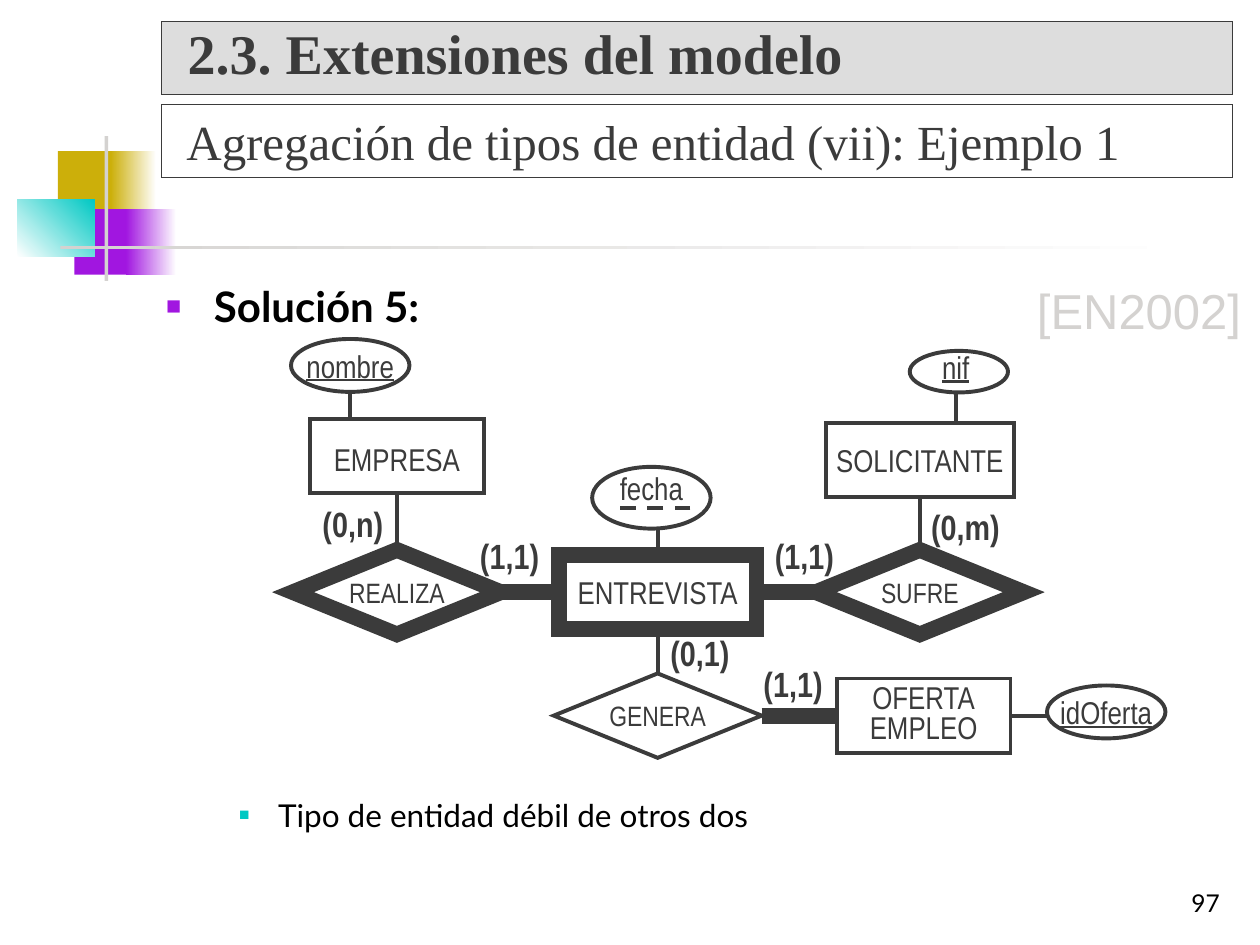
from lxml.etree import SubElement
from pptx import Presentation
from pptx.dml.color import RGBColor
from pptx.enum.dml import MSO_LINE
from pptx.enum.shapes import MSO_CONNECTOR, MSO_SHAPE
from pptx.enum.text import MSO_ANCHOR, MSO_AUTO_SIZE, PP_ALIGN
from pptx.oxml.ns import qn
from pptx.util import Inches, Pt

INK, GREY, BLACK, WHITE = "3B3B3B", "D4D2D0", "000000", "FFFFFF"
GOLD, VIOLET, TEAL = "CCAF0A", "A116E0", "00C8C3"
NARROW, SERIF, SANS = "Arial Narrow", "Times New Roman", "Lato"
THIN, THICK = 2.25, 9
TOP, LEFT, BOTTOM, RIGHT = range(4)


def rgb(color):
    return RGBColor.from_string(color)


def write(shape, text, size, face, color=INK, bold=False, under=False,
          align=PP_ALIGN.LEFT, anchor=MSO_ANCHOR.TOP, pad=(0.1, 0.05, 0.1, 0.05),
          wrap=True, space=None, bullet=None):
    """Fill a shape with one paragraph; bullet is (indent, hang, color, percent)."""
    frame = shape.text_frame
    frame.auto_size = MSO_AUTO_SIZE.NONE
    frame.word_wrap = wrap
    frame.vertical_anchor = anchor
    (frame.margin_left, frame.margin_top,
     frame.margin_right, frame.margin_bottom) = map(Inches, pad)
    par = frame.paragraphs[0]
    par.text = text
    par.alignment = align
    if space:
        par.line_spacing = space
    if bullet:
        add_bullet(par, *bullet)
    font = par.font
    font.size, font.name, font.bold, font.underline = Pt(size), face, bold, under
    font.color.rgb = rgb(color)


def add_bullet(par, indent, hang, color, percent):
    props = par._p.get_or_add_pPr()
    props.set("marL", str(Inches(indent)))
    props.set("indent", str(-Inches(hang)))
    SubElement(SubElement(props, qn("a:buClr")), qn("a:srgbClr"), val=color)
    SubElement(props, qn("a:buSzPct"), val=str(percent * 1000))
    SubElement(props, qn("a:buFont"), typeface="Arial")
    SubElement(props, qn("a:buChar"), char="■")


def add_text(slide, box, *args, **style):
    write(slide.shapes.add_textbox(*map(Inches, box)), *args, **style)


def outline(shape, width):
    shape.line.color.rgb = rgb(INK)
    shape.line.width = Pt(width)
    SubElement(shape.line._get_or_add_ln(), qn("a:miter"), lim="800000")


def add_block(slide, box, color, end=None, angle=0):
    """Borderless rectangle, plain or fading from color to end."""
    block = slide.shapes.add_shape(MSO_SHAPE.RECTANGLE, *map(Inches, box))
    block.shadow.inherit = False
    block.line.fill.background()
    if end:
        block.fill.gradient()
        block.fill.gradient_angle = angle
        for stop, tone in zip(block.fill.gradient_stops, (color, end)):
            stop.color.rgb = rgb(tone)
    else:
        block.fill.solid()
        block.fill.fore_color.rgb = rgb(color)


def add_node(slide, kind, mid, size, text, width=THIN, points=18, pad=(0, 0, 0, 0), **style):
    """Outlined shape with a centred name, placed by its middle."""
    (x, y), (w, h) = mid, size
    node = slide.shapes.add_shape(kind, Inches(x - w / 2), Inches(y - h / 2),
                                  Inches(w), Inches(h))
    node.shadow.inherit = False
    node.fill.solid()
    node.fill.fore_color.rgb = rgb(WHITE)
    outline(node, width)
    write(node, text, points, NARROW, align=PP_ALIGN.CENTER,
          anchor=MSO_ANCHOR.MIDDLE, pad=pad, wrap=False, **style)
    return node


def add_line(slide, start=(0, 0), end=(0, 0), width=THIN):
    line = slide.shapes.add_connector(MSO_CONNECTOR.STRAIGHT, *map(Inches, (*start, *end)))
    outline(line, width)
    SubElement(line._element.spPr, qn("a:effectLst"))
    return line


def join(slide, first, side, last, other, width=THIN):
    line = add_line(slide, width=width)
    line.begin_connect(first, side)
    line.end_connect(last, other)


def add_decor(slide, x, y):
    """Coloured squares crossed by two grey bars."""
    for dx, dy, w, h, *tones in (
            (0.32, 0.12, 0.48, 0.52, GOLD),
            (0.74, 0.12, 0.36, 0.52, GOLD, WHITE),
            (0.45, 0.58, 0.46, 0.52, VIOLET),
            (0.86, 0.58, 0.4, 0.52, VIOLET, WHITE),
            (0, 0.5, 0.61, 0.46, WHITE, TEAL, 45),
            (0.69, 0, 0.03, 1.15, GREY),
            (0.34, 0.87, 9, 0.03, GREY, WHITE)):
        add_block(slide, (x + dx, y + dy, w, h), *tones)


def add_heads(slide, x, y, w, h):
    title = slide.shapes.title
    title.left, title.top, title.width, title.height = map(Inches, (x, y, w, h))
    title.fill.solid()
    title.fill.fore_color.rgb = rgb("DDDDDD")
    sub = slide.shapes.add_shape(MSO_SHAPE.RECTANGLE,
                                 *map(Inches, (x, y + 0.66, w, h)))
    sub.shadow.inherit = False
    sub.fill.background()
    for shape in (title, sub):
        outline(shape, 0.75)
    write(title, "2.3. Extensiones del modelo", 32, SERIF, bold=True, space=0.8,
          anchor=MSO_ANCHOR.MIDDLE, pad=(0.21, 0.05, 0.1, 0.05))
    write(sub, "Agregación de tipos de entidad (vii): Ejemplo 1", 28, SERIF,
          anchor=MSO_ANCHOR.MIDDLE, pad=(0.2, 0.05, 0.1, 0.05))


def add_diagram(slide, x, y):
    """Entity-relationship diagram with its top left corner at x, y."""
    def at(dx, dy):
        return x + dx, y + dy

    def entity(mid, text, wide=1.38, **style):
        return add_node(slide, MSO_SHAPE.RECTANGLE, at(*mid), (wide, 0.59), text, **style)

    def relation(mid, text, width=THICK):
        return add_node(slide, MSO_SHAPE.DIAMOND, at(*mid), (1.65, 0.67), text,
                        width, points=16)

    def field(mid, text, size=(0.94, 0.42), **style):
        add_node(slide, MSO_SHAPE.OVAL, at(*mid), size, text, **style)

    firm = entity((0.85, 0.92), "EMPRESA", pad=(0, 0.05, 0, 0.01))
    seeker = entity((5, 0.95), "SOLICITANTE", 1.49)
    talk = entity((2.92, 2), "ENTREVISTA", 1.57, width=THICK)
    offer = entity((5.03, 2.98), "OFERTA\nEMPLEO", space=0.8)
    holds = relation((0.85, 2), "REALIZA")
    takes = relation((5, 2), "SUFRE")
    yields = relation((2.92, 2.98), "GENERA", THIN)

    join(slide, firm, BOTTOM, holds, TOP)
    join(slide, seeker, BOTTOM, takes, TOP)
    join(slide, talk, BOTTOM, yields, TOP)
    join(slide, holds, RIGHT, talk, LEFT, THICK)
    join(slide, talk, RIGHT, takes, LEFT, THICK)
    join(slide, yields, RIGHT, offer, LEFT, THICK)

    for start, end in (((0.48, 0.41), (0.48, 0.63)),
                       ((5.29, 0.41), (5.29, 0.65)),
                       ((2.92, 1.45), (2.92, 1.71))):
        add_line(slide, at(*start), at(*end))
    add_line(slide, end=at(6.01, 2.98)).begin_connect(offer, RIGHT)
    field((0.48, 0.2), "nombre", under=True)
    field((5.31, 0.25), "nif", (0.78, 0.33), under=True, pad=(0, 0, 0.05, 0.08))
    field((6.48, 2.95), "idOferta", under=True)
    field((2.87, 1.25), "fecha", (0.94, 0.49), pad=(0, 0, 0, 0.16))
    add_line(slide, at(3.18, 1.33), at(2.54, 1.33)).line.dash_style = MSO_LINE.DASH

    for dx, dy, text in ((0.26, 1.24, "(0,n)"), (1.51, 1.49, "(1,1)"),
                         (3.85, 1.49, "(1,1)"), (5.09, 1.26, "(0,m)"),
                         (3.02, 2.26, "(0,1)"), (3.76, 2.51, "(1,1)")):
        add_text(slide, (*at(dx, dy), 0.57, 0.4), text, 20, NARROW, bold=True,
                 pad=(0, 0.05, 0, 0.01), wrap=False)


def add_notes(slide, x, y):
    """Bulleted texts above and below the diagram, citation and page number."""
    add_text(slide, (x, y, 8.56, 0.5), "Solución 5:", 24, SANS, BLACK, bold=True,
             bullet=(0.38, 0.38, VIOLET, 60))
    add_text(slide, (x + 7.01, y, 1.62, 0.53), "[EN2002]", 28, "Arial", GREY,
             pad=(0, 0.05, 0, 0.01), wrap=False)
    add_text(slide, (x + 0.08, y + 4.09, 8.5, 0.94), "Tipo de entidad débil de otros dos",
             18, SANS, BLACK, bullet=(0.81, 0.31, TEAL, 55))
    add_text(slide, (x + 6.48, y + 4.65, 2.08, 0.5), "97", 14, SANS, BLACK,
             align=PP_ALIGN.RIGHT, anchor=MSO_ANCHOR.BOTTOM)


def main():
    deck = Presentation()
    deck.slide_width, deck.slide_height = Inches(10), Inches(7.5)
    slide = deck.slides.add_slide(deck.slide_layouts[5])
    add_decor(slide, 0.14, 1.08)
    add_heads(slide, 1.28, 0.17, 8.5, 0.58)
    add_diagram(slide, 2.3, 2.7)
    add_notes(slide, 1.22, 2.18)
    deck.save("out.pptx")


if __name__ == "__main__":
    main()
